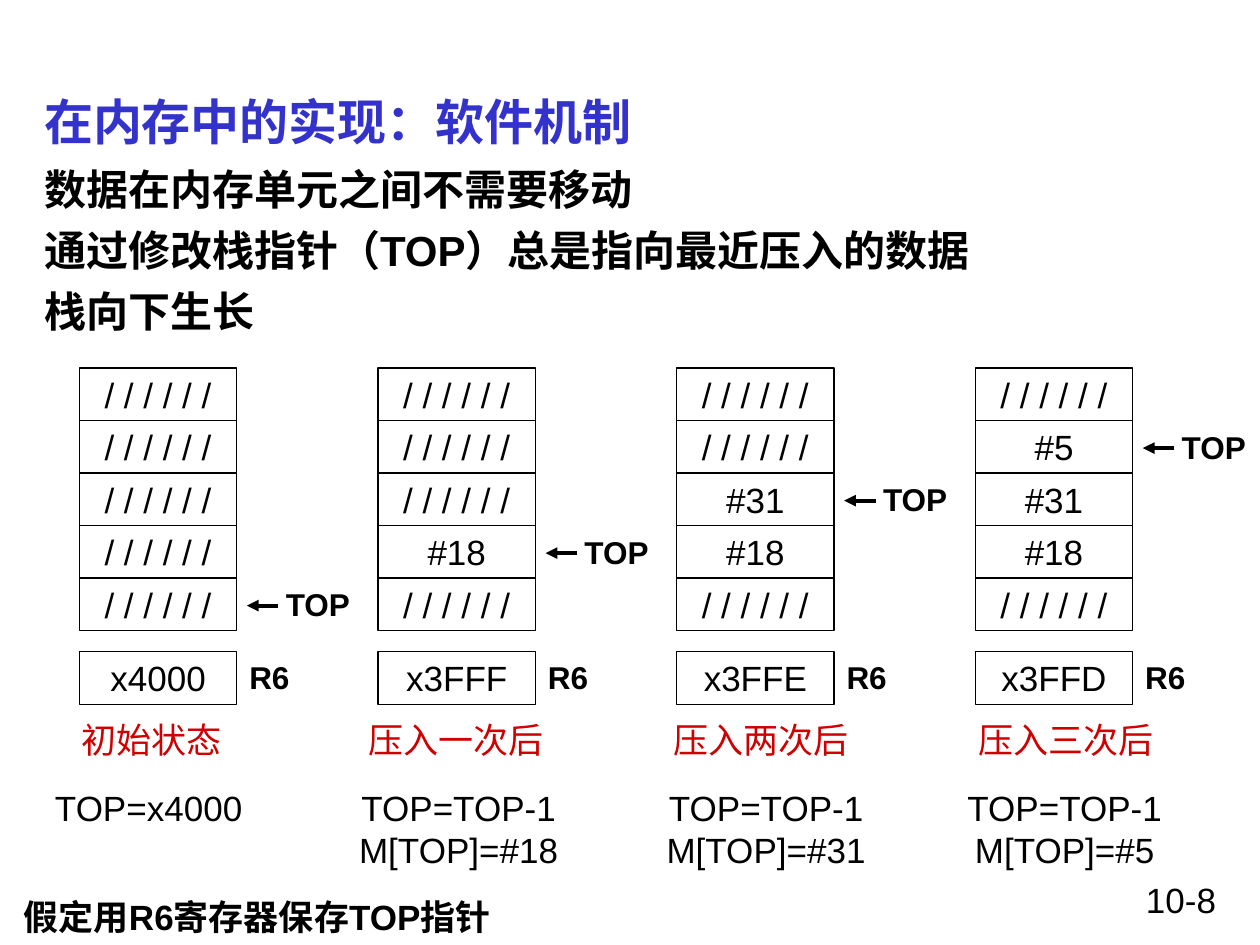
from dataclasses import dataclass

from pptx import Presentation
from pptx.dml.color import RGBColor
from pptx.enum.shapes import MSO_CONNECTOR, MSO_SHAPE
from pptx.enum.text import MSO_ANCHOR, MSO_AUTO_SIZE, PP_ALIGN
from pptx.oxml.ns import qn
from pptx.slide import Slide
from pptx.text.text import TextFrame
from pptx.util import Inches, Pt
from lxml.etree import SubElement

BLACK = RGBColor(0x00, 0x00, 0x00)
BLUE = RGBColor(0x33, 0x33, 0xCC)
RED = RGBColor(0xCE, 0x00, 0x00)

# Text formats
TITLE = {"size": Pt(28), "bold": True, "color": BLUE}
POINT = {"size": Pt(24), "bold": True, "color": BLACK}
VALUE = {"size": Pt(20), "bold": False, "color": BLACK}
CAPTION = {"size": Pt(20), "bold": False, "color": RED}
NOTE = {"size": Pt(20), "bold": True, "color": BLACK}
LABEL = {"size": Pt(18), "bold": True, "color": BLACK}

# Stack grid, in inches
STACK_LEFT, STACK_TOP, STACK_STEP = 0.63, 2.92, 2.37
CELL_WIDTH, CELL_HEIGHT = 1.25, 0.42
ROW_STEP = 1.25 / 3
REGISTER_TOP = 5.17
CAPTION_CENTER, CAPTION_STEP = 1.2, 2.42
UNUSED = "/ / / / / /"


@dataclass
class StackState:
    cells: list[str]
    top_row: int
    register: str
    caption: str
    caption_width: float
    operations: list[str]
    operations_center: float
    operations_width: float


STATES = [
    StackState([UNUSED] * 5, 4, "x4000", "初始状态", 1.31,
               ["TOP=x4000"], 1.18, 1.69),
    StackState([UNUSED] * 3 + ["#18", UNUSED], 3, "x3FFF", "压入一次后", 1.59,
               ["TOP=TOP-1", "M[TOP]=#18"], 3.64, 1.78),
    StackState([UNUSED] * 2 + ["#31", "#18", UNUSED], 2, "x3FFE", "压入两次后", 1.59,
               ["TOP=TOP-1", "M[TOP]=#31"], 6.08, 1.78),
    StackState([UNUSED, "#5", "#31", "#18", UNUSED], 1, "x3FFD", "压入三次后", 1.59,
               ["TOP=TOP-1", "M[TOP]=#5"], 8.45, 1.75),
]


def write(frame: TextFrame, lines: list[str], style: dict,
          align: PP_ALIGN = PP_ALIGN.LEFT, gap: float = 0) -> None:
    """Fill a frame with one unbulleted paragraph per line."""
    frame.text = "\n".join(lines)
    for index, paragraph in enumerate(frame.paragraphs):
        properties = paragraph._p.get_or_add_pPr()
        properties.set("marL", "0")
        properties.set("indent", "0")
        SubElement(properties, qn("a:buNone"))
        paragraph.alignment = align
        paragraph.space_before = Pt(gap if index else 0)
        for run in paragraph.runs:
            run.font.name = "Arial"
            for attribute, setting in style.items():
                if attribute == "color":
                    run.font.color.rgb = setting
                else:
                    setattr(run.font, attribute, setting)


def add_label(slide: Slide, left: float, top: float, width: float, height: float,
              lines: list[str], style: dict, align: PP_ALIGN = PP_ALIGN.LEFT) -> None:
    label = slide.shapes.add_textbox(Inches(left), Inches(top), Inches(width), Inches(height))
    label.text_frame.word_wrap = False
    write(label.text_frame, lines, style, align)


def add_cell(slide: Slide, left: float, top: float, content: str) -> None:
    cell = slide.shapes.add_shape(MSO_SHAPE.RECTANGLE, Inches(left), Inches(top),
                                  Inches(CELL_WIDTH), Inches(CELL_HEIGHT))
    cell.shadow.inherit = False
    cell.fill.background()
    cell.line.color.rgb = BLACK
    cell.line.width = Pt(0.75)
    cell.text_frame.word_wrap = False
    cell.text_frame.vertical_anchor = MSO_ANCHOR.MIDDLE
    write(cell.text_frame, [content], VALUE, PP_ALIGN.CENTER)


def add_top_pointer(slide: Slide, stack_left: float, middle: float) -> None:
    add_label(slide, stack_left + 1.54, middle - 0.21, 0.71, 0.4, ["TOP"], LABEL)
    arrow = slide.shapes.add_connector(
        MSO_CONNECTOR.STRAIGHT, Inches(stack_left + 1.58), Inches(middle),
        Inches(stack_left + 1.33), Inches(middle))
    arrow.line.color.rgb = BLACK
    arrow.line.width = Pt(2.25)
    SubElement(arrow.line._get_or_add_ln(), qn("a:tailEnd"), type="triangle")
    SubElement(arrow._element.spPr, qn("a:effectLst"))


def add_state(slide: Slide, index: int, state: StackState) -> None:
    left = STACK_LEFT + index * STACK_STEP
    # Memory cells and the pointer to the top of the stack
    for row, content in enumerate(state.cells):
        add_cell(slide, left, STACK_TOP + row * ROW_STEP, content)
    add_top_pointer(slide, left, STACK_TOP + state.top_row * ROW_STEP + 0.22)
    # Register
    add_cell(slide, left, REGISTER_TOP, state.register)
    add_label(slide, left + CELL_WIDTH, REGISTER_TOP, 0.52, 0.4, ["R6"], LABEL)
    # Caption and operations
    center = CAPTION_CENTER + index * CAPTION_STEP
    add_label(slide, center - state.caption_width / 2, 5.65, state.caption_width, 0.44,
              [state.caption], CAPTION, PP_ALIGN.CENTER)
    add_label(slide, state.operations_center - state.operations_width / 2, 6.19,
              state.operations_width, 0.11 + 0.33 * len(state.operations),
              state.operations, VALUE, PP_ALIGN.CENTER)


def place(placeholder, top: float, height: float, anchor: MSO_ANCHOR) -> TextFrame:
    bounds = {"left": 0.25, "top": top, "width": 9.5, "height": height}
    for side, length in bounds.items():
        setattr(placeholder, side, Inches(length))
    frame = placeholder.text_frame
    frame.auto_size = MSO_AUTO_SIZE.NONE
    frame.vertical_anchor = anchor
    return frame


def main() -> None:
    deck = Presentation()
    deck.slide_width, deck.slide_height = Inches(10), Inches(7.5)
    slide = deck.slides.add_slide(deck.slide_layouts[1])

    # Title and key points
    write(place(slide.shapes.title, 0.67, 0.58, MSO_ANCHOR.MIDDLE),
          ["在内存中的实现：软件机制"], TITLE)
    write(place(slide.placeholders[1], 1.25, 5.81, MSO_ANCHOR.TOP),
          ["数据在内存单元之间不需要移动",
           "通过修改栈指针（TOP）总是指向最近压入的数据",
           "栈向下生长"], POINT, gap=6)

    # Stack after each push
    for index, state in enumerate(STATES):
        add_state(slide, index, state)

    # Footnote and page number
    add_label(slide, 0.09, 7.06, 4.18, 0.44, ["假定用R6寄存器保存TOP指针"], NOTE)
    add_label(slide, 7.17, 6.92, 2.58, 0.42, ["10-8"], VALUE, PP_ALIGN.RIGHT)
    slide.shapes[-1].text_frame.word_wrap = True

    deck.save("out.pptx")


if __name__ == "__main__":
    main()
